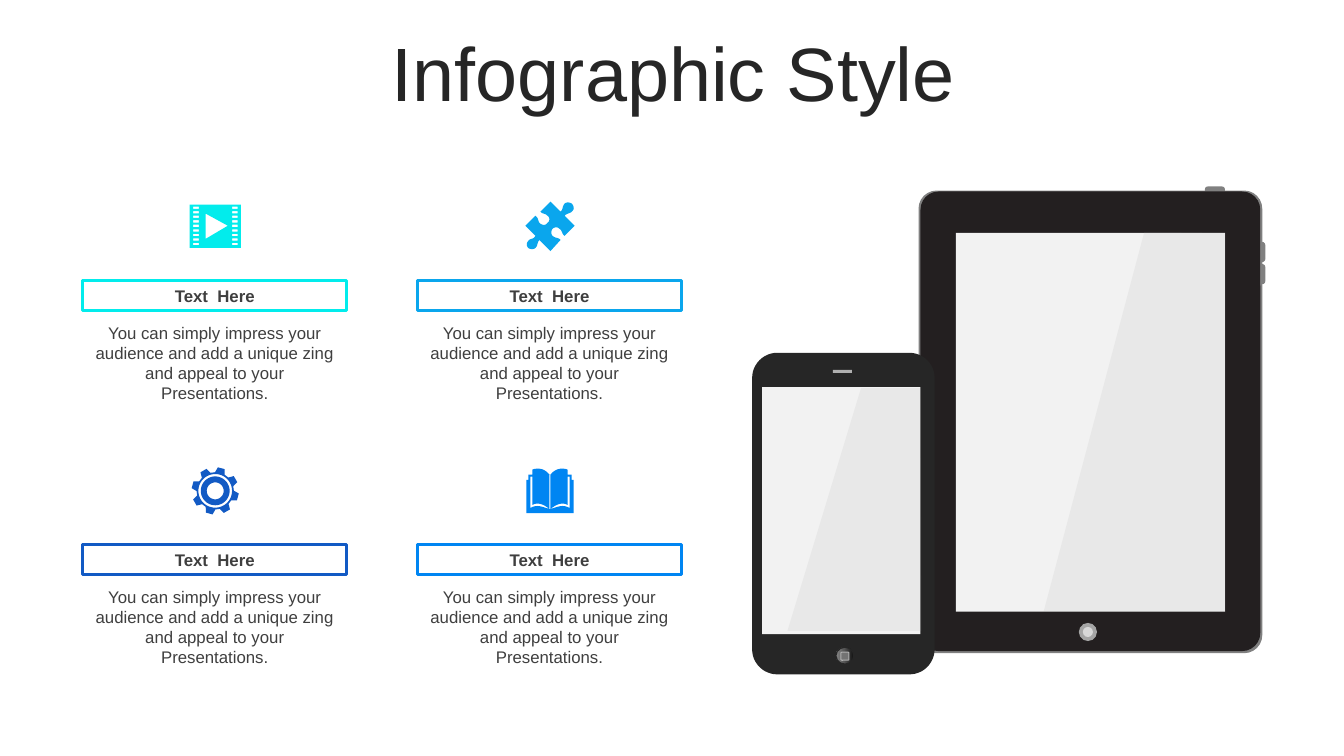
from dataclasses import dataclass
from math import cos, radians, sin
from typing import Optional

from lxml.etree import SubElement
from pptx import Presentation
from pptx.dml.color import RGBColor
from pptx.enum.shapes import MSO_SHAPE
from pptx.enum.text import MSO_ANCHOR, MSO_AUTO_SIZE, PP_ALIGN
from pptx.oxml.ns import qn
from pptx.shapes.autoshape import Shape
from pptx.slide import Slide
from pptx.text.text import TextFrame
from pptx.util import Inches, Pt

Contour = list[tuple[float, ...]]

FONT = "Arial"
DARK, TEXT_GREY, BUTTON_GREY = "262626", "3F3F3F", "808080"
SCREEN, GLARE = "F2F2F2", "999999"
BODY = "You can simply impress your audience and add a unique zing and appeal to your Presentations."


@dataclass
class Part:
    left: float
    top: float
    width: float
    height: float
    fill: Optional[str] = None
    preset: MSO_SHAPE = MSO_SHAPE.RECTANGLE
    radius: Optional[float] = None
    line: Optional[str] = None
    line_width: float = 1


@dataclass
class Feature:
    left: float
    top: float
    colour: str
    icon: list[Contour]


def rgb(colour: str) -> RGBColor:
    return RGBColor.from_string(colour)


def draw_part(slide: Slide, part: Part) -> Shape:
    shape = slide.shapes.add_shape(
        part.preset, Inches(part.left), Inches(part.top), Inches(part.width), Inches(part.height))
    shape.shadow.inherit = False
    if part.radius is not None:
        shape.adjustments[0] = part.radius / min(part.width, part.height)
    if part.fill:
        shape.fill.solid()
        shape.fill.fore_color.rgb = rgb(part.fill)
    else:
        shape.fill.background()
    if part.line:
        shape.line.color.rgb = rgb(part.line)
        shape.line.width = Pt(part.line_width)
    else:
        shape.line.fill.background()
    return shape


def flatten(contour: Contour, steps: int = 8) -> list[tuple[float, float]]:
    points = [contour[0]]
    for segment in contour[1:]:
        if len(segment) == 2:
            points.append(segment)
            continue
        x0, y0 = points[-1]
        x1, y1, x2, y2, x3, y3 = segment
        for step in range(1, steps + 1):
            t = step / steps
            a, b, c, d = (1 - t) ** 3, 3 * t * (1 - t) ** 2, 3 * t * t * (1 - t), t ** 3
            points.append((a * x0 + b * x1 + c * x2 + d * x3, a * y0 + b * y1 + c * y2 + d * y3))
    return points


def draw_outline(slide: Slide, contours: list[Contour], colour: str, alpha: int = 100) -> None:
    outlines = [[(Inches(x), Inches(y)) for x, y in flatten(contour)] for contour in contours]
    builder = slide.shapes.build_freeform(*outlines[0][0], scale=1.0)
    builder.add_line_segments(outlines[0][1:], close=True)
    for outline in outlines[1:]:
        builder.move_to(*outline[0])
        builder.add_line_segments(outline[1:], close=True)
    shape = builder.convert_to_shape()
    shape.shadow.inherit = False
    shape.fill.solid()
    shape.fill.fore_color.rgb = rgb(colour)
    shape.line.fill.background()
    if alpha < 100:
        solid_colour = shape._element.spPr.find(qn("a:solidFill")).find(qn("a:srgbClr"))
        SubElement(solid_colour, qn("a:alpha"), val=str(alpha * 1000))


def set_gradient(shape: Shape, stops: list[tuple[int, str]], angle: int) -> None:
    shape.fill.gradient()
    shape.fill.gradient_angle = angle
    stop_list = shape._element.spPr.find(qn("a:gradFill")).find(qn("a:gsLst"))
    stop_list.clear()
    for position, colour in stops:
        stop = SubElement(stop_list, qn("a:gs"), pos=str(position * 1000))
        SubElement(stop, qn("a:srgbClr"), val=colour)


def write(frame: TextFrame, words: str, size: int, colour: str, bold: bool = False) -> None:
    frame.word_wrap = True
    frame.text = words
    paragraph = frame.paragraphs[0]
    paragraph.alignment = PP_ALIGN.CENTER
    font = paragraph.font
    font.name, font.size, font.bold = FONT, Pt(size), bold
    font.color.rgb = rgb(colour)


def box(left: float, top: float, right: float, bottom: float) -> Contour:
    return [(left, top), (right, top), (right, bottom), (left, bottom)]


def polar(centre: tuple[float, float], radius: float, degrees: float) -> tuple[float, float]:
    angle = radians(degrees)
    return centre[0] + radius * sin(angle), centre[1] - radius * cos(angle)


def mirror(contour: Contour, axis: float) -> Contour:
    return [tuple(v if i % 2 else 2 * axis - v for i, v in enumerate(segment)) for segment in contour]


def film_icon() -> list[Contour]:
    holes = [box(x, 2.05 + 0.045 * row, x + 0.055, 2.073 + 0.045 * row)
             for x in (1.917, 2.303) for row in range(9)]
    return [box(1.88, 2.03, 2.39, 2.46), [(2.04, 2.12), (2.26, 2.24), (2.04, 2.37)], *holes]


def gear_icon() -> list[Contour]:
    centre = (2.135, 4.87)
    tooth = [(0.185, -15.5), (0.235, -8.5), (0.235, 8.5), (0.185, 15.5)]
    rim = [polar(centre, radius, 15 + 45 * turn + offset) for turn in range(8) for radius, offset in tooth]
    rings = [[polar(centre, radius, 6 * step) for step in range(60)] for radius in (0.167, 0.143, 0.084)]
    return [rim, *rings]


def book_icon() -> list[Contour]:
    axis = 5.455
    cover_half = [(5.22, 5.09), (5.22, 4.76), (5.24, 4.76), (5.24, 4.71), (5.28, 4.71), (5.28, 4.66),
                  (5.3, 4.65, 5.32, 4.65, 5.34, 4.65), (5.38, 4.65, 5.42, 4.67, 5.45, 4.71)]
    left_half = flatten(cover_half)
    margin = [(5.45, 5.05), (5.39, 5, 5.33, 4.98, 5.28, 5.01), (5.28, 4.73), (5.26, 4.73),
              (5.26, 5.04), (5.33, 5, 5.38, 5.03, 5.45, 5.05)]
    cover = left_half + mirror(left_half, axis)[::-1]
    return [cover, margin, mirror(margin, axis), box(5.45, 4.71, 5.46, 5.05)]


PUZZLE_ICON = [[
    (5.67, 2.02), (5.69, 2.04, 5.7, 2.07, 5.68, 2.09), (5.66, 2.12, 5.63, 2.11, 5.6, 2.14),
    (5.7, 2.24), (5.6, 2.34), (5.57, 2.32, 5.58, 2.29, 5.55, 2.27),
    (5.53, 2.25, 5.5, 2.25, 5.48, 2.27), (5.47, 2.28, 5.46, 2.32, 5.48, 2.34),
    (5.52, 2.37, 5.53, 2.35, 5.56, 2.38), (5.46, 2.49), (5.35, 2.38),
    (5.32, 2.42, 5.34, 2.43, 5.31, 2.46), (5.29, 2.48, 5.25, 2.47, 5.24, 2.46),
    (5.22, 2.44, 5.22, 2.41, 5.24, 2.39), (5.26, 2.36, 5.29, 2.38, 5.31, 2.34),
    (5.21, 2.24), (5.31, 2.14), (5.35, 2.17, 5.33, 2.2, 5.36, 2.22),
    (5.39, 2.24, 5.42, 2.23, 5.43, 2.21), (5.45, 2.2, 5.46, 2.16, 5.43, 2.14),
    (5.4, 2.11, 5.39, 2.13, 5.36, 2.1), (5.46, 2), (5.56, 2.1),
    (5.59, 2.07, 5.57, 2.06, 5.6, 2.02), (5.62, 2, 5.66, 2.01, 5.67, 2.02)]]

ROUND, OVAL = MSO_SHAPE.ROUNDED_RECTANGLE, MSO_SHAPE.OVAL
TABLET = [
    Part(11.95, 1.85, 0.2, 0.07, BUTTON_GREY, ROUND, 0.03),
    *[Part(12.48, top, 0.07, 0.2, BUTTON_GREY, ROUND, 0.03) for top in (2.62, 2.4)],
    Part(9.11, 1.89, 3.41, 4.59, BUTTON_GREY, ROUND, 0.18),
    Part(9.13, 1.9, 3.37, 4.56, "231F20", ROUND, 0.18),
    Part(9.48, 2.31, 2.67, 3.76, SCREEN),
    Part(10.7, 6.18, 0.18, 0.18, "A5A5A5", OVAL),
    Part(10.74, 6.22, 0.1, 0.1, "D8D8D8", OVAL)]
PHONE = [
    Part(7.46, 3.5, 1.81, 3.19, DARK, ROUND, 0.25),
    Part(8.26, 3.67, 0.19, 0.03, "B0B0B0"),
    Part(7.56, 3.84, 1.57, 2.45, SCREEN)]
HOME_BUTTON = Part(8.29, 6.42, 0.18, 0.17, DARK, OVAL, line=DARK)
HOME_MARK = Part(8.34, 6.47, 0.08, 0.08, "737373", ROUND, 0.01, "B0B0B0", 0.75)
HOME_STOPS = [(0, "0F0F0F"), (56, "595959"), (91, "7F7F7F"), (100, "BFBFBF")]
FEATURES = [
    Feature(0.82, 2.78, "02ECEC", film_icon()),
    Feature(4.14, 2.78, "0AA6ED", PUZZLE_ICON),
    Feature(0.82, 5.4, "125AC4", gear_icon()),
    Feature(4.14, 5.4, "0085F2", book_icon())]


def draw_feature(slide: Slide, feature: Feature) -> None:
    description = slide.shapes.add_textbox(
        Inches(feature.left), Inches(feature.top + 0.37), Inches(2.62), Inches(0.91))
    write(description.text_frame, BODY, 12, TEXT_GREY)
    heading = draw_part(slide, Part(feature.left, feature.top, 2.62, 0.3, line=feature.colour, line_width=2))
    write(heading.text_frame, "Text  Here", 12, TEXT_GREY, bold=True)
    draw_outline(slide, feature.icon, feature.colour)


def main() -> None:
    deck = Presentation()
    deck.slide_width, deck.slide_height = Inches(13.33), Inches(7.5)
    slide = deck.slides.add_slide(deck.slide_layouts[5])
    title = slide.shapes.title
    title.left, title.top, title.width, title.height = map(Inches, (0.35, 0.37, 12.66, 0.79))
    write(title.text_frame, "Infographic Style", 54, DARK)
    title.text_frame.auto_size = MSO_AUTO_SIZE.NONE
    title.text_frame.vertical_anchor = MSO_ANCHOR.MIDDLE
    title.text_frame.paragraphs[0].line_spacing = 0.9
    for part in TABLET:
        draw_part(slide, part)
    draw_outline(slide, [[(11.35, 2.3), (12.16, 2.31), (12.16, 6.07), (10.35, 6.07)]], GLARE, 10)
    for part in PHONE:
        draw_part(slide, part)
    draw_outline(slide, [[(8.54, 3.85), (9.13, 3.85), (9.14, 6.26), (7.81, 6.26)]], GLARE, 10)
    set_gradient(draw_part(slide, HOME_BUTTON), HOME_STOPS, 180)
    draw_part(slide, HOME_MARK)
    for feature in FEATURES:
        draw_feature(slide, feature)
    deck.save("out.pptx")


if __name__ == "__main__":
    main()
